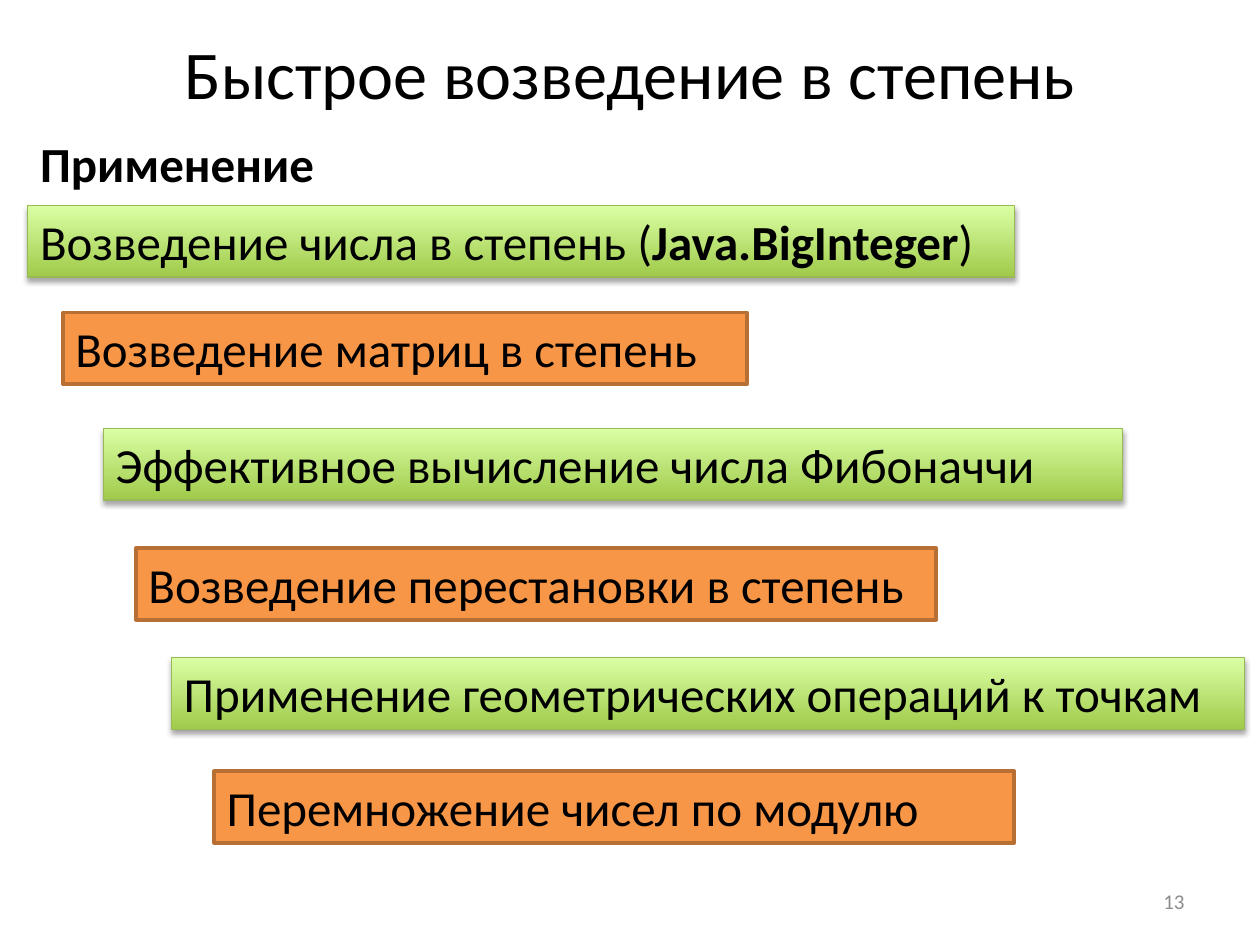
from lxml.etree import SubElement
from pptx import Presentation
from pptx.dml.color import RGBColor
from pptx.enum.shapes import MSO_SHAPE as Preset
from pptx.enum.text import MSO_ANCHOR as Anchor, MSO_AUTO_SIZE as AutoSize, PP_ALIGN as Align
from pptx.oxml.ns import qn
from pptx.util import Inches, Pt

# Content
TITLE = "Быстрое возведение в степень"
HEADING = "Применение"
PAGE_NUMBER = "13"
# left, top, width, then text spans; every second span is bold
USES = [
    (0.22, 1.63, 7.83, ["Возведение числа в степень (", "Java.BigInteger", ")"]),
    (0.5, 2.48, 5.43, ["Возведение матриц в степень"]),
    (0.82, 3.4, 8.09, ["Эффективное вычисление числа Фибоначчи"]),
    (1.08, 4.35, 6.35, ["Возведение перестановки в степень"]),
    (1.36, 5.22, 8.52, ["Применение геометрических операций к точкам"]),
    (1.7, 6.12, 6.35, ["Перемножение чисел по модулю"]),
]

# Style
FONT = "Calibri"
BAR_HEIGHT = 0.57
BLACK = RGBColor(0x00, 0x00, 0x00)
GRAY = RGBColor(0x8C, 0x8C, 0x8C)
GREEN_DARK = RGBColor(0xA0, 0xCA, 0x4A)
GREEN_LIGHT = RGBColor(0xDA, 0xFF, 0xA5)
GREEN_LINE = RGBColor(0x98, 0xB9, 0x55)
ORANGE = RGBColor(0xF7, 0x96, 0x46)
ORANGE_LINE = RGBColor(0xB7, 0x6F, 0x34)


def write(shape, spans, size=28, color=BLACK, align=Align.LEFT, anchor=Anchor.TOP, bold=False):
    frame = shape.text_frame
    frame.word_wrap = True
    frame.auto_size = AutoSize.NONE
    frame.vertical_anchor = anchor
    para = frame.paragraphs[0]
    para.alignment = align
    for index, text in enumerate(spans):
        span = para.add_run()
        span.text = text
        span.font.name = FONT
        span.font.size = Pt(size)
        span.font.bold = bold or index % 2 == 1
        span.font.color.rgb = color
    return para


def add_soft_shadow(shape):
    effects = shape._element.spPr.find(qn("a:effectLst"))
    shadow = SubElement(effects, qn("a:outerShdw"), blurRad=str(Pt(3.1)),
                        dist=str(Pt(1.8)), dir="5400000", rotWithShape="0")
    color = SubElement(shadow, qn("a:srgbClr"), val="000000")
    SubElement(color, qn("a:alpha"), val="35000")


def add_bar(page, left, top, width, spans, green):
    bar = page.shapes.add_shape(Preset.RECTANGLE, Inches(left), Inches(top),
                                Inches(width), Inches(BAR_HEIGHT))
    bar.shadow.inherit = False
    if green:
        bar.fill.gradient()
        bar.fill.gradient_angle = 90
        for stop, color in zip(bar.fill.gradient_stops, (GREEN_DARK, GREEN_LIGHT)):
            stop.color.rgb = color
        for stop, position in zip(bar.fill.gradient_stops, (0, 1)):
            stop.position = position
        add_soft_shadow(bar)
    else:
        bar.fill.solid()
        bar.fill.fore_color.rgb = ORANGE
    bar.line.color.rgb = GREEN_LINE if green else ORANGE_LINE
    bar.line.width = Pt(0.75 if green else 2)
    write(bar, spans)


deck = Presentation()
deck.slide_width, deck.slide_height = Inches(10), Inches(7.5)
page = deck.slides.add_slide(deck.slide_layouts[5])

# Title and heading
title = page.shapes.title
title.left, title.top, title.width, title.height = map(Inches, (0.5, 0.25, 9, 0.73))
write(title, [TITLE], 39, align=Align.CENTER, anchor=Anchor.MIDDLE).line_spacing = 0.9
heading = page.shapes.add_textbox(*map(Inches, (0.22, 1.01, 4.3, BAR_HEIGHT)))
write(heading, [HEADING], bold=True)

# Staircase of uses, green and orange in turn
for index, (left, top, width, spans) in enumerate(USES):
    add_bar(page, left, top, width, spans, green=index % 2 == 0)

# Page number
number = page.shapes.add_textbox(*map(Inches, (7.17, 6.95, 2.33, 0.4)))
write(number, [PAGE_NUMBER], 12, GRAY, Align.RIGHT, Anchor.MIDDLE)

deck.save("out.pptx")
